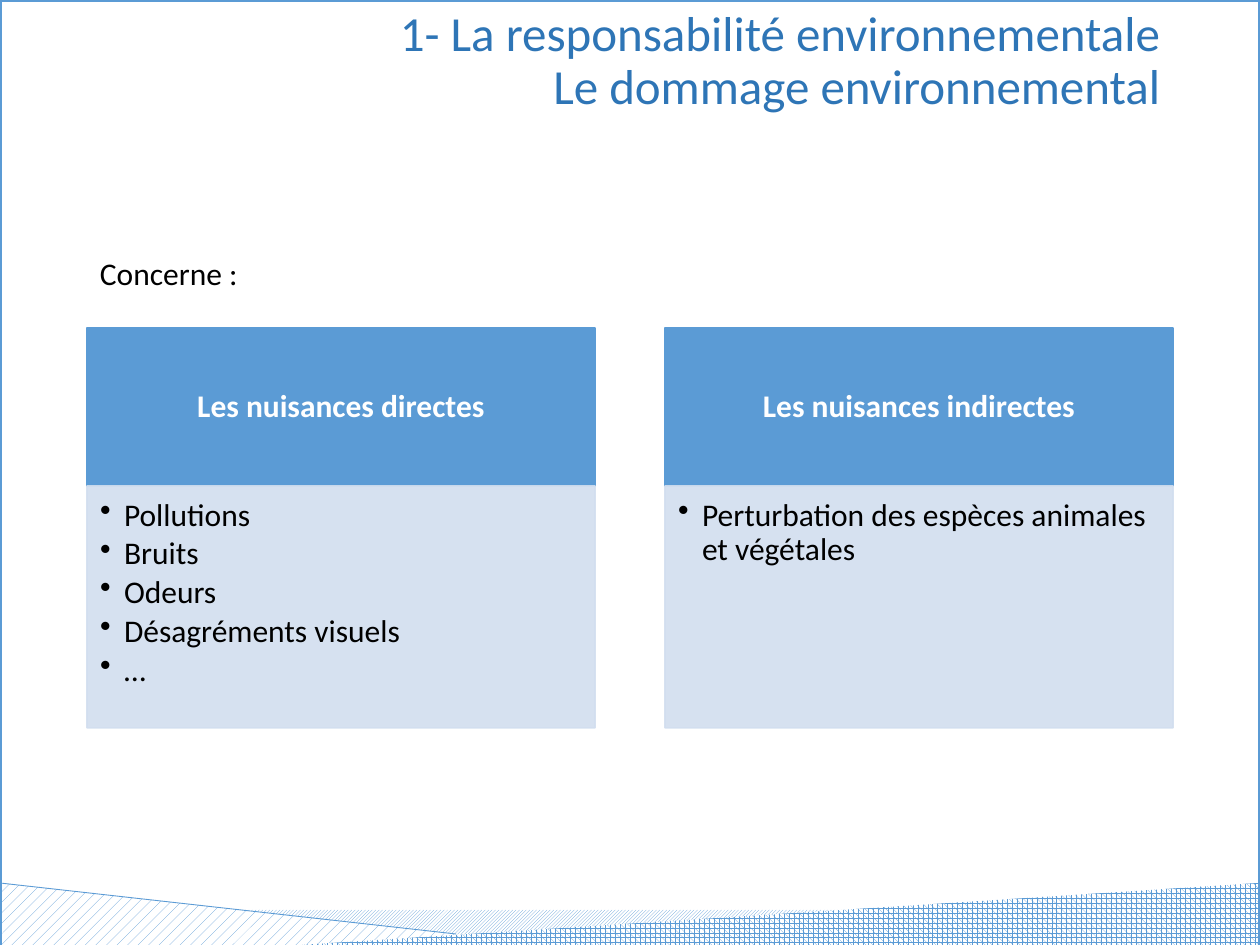
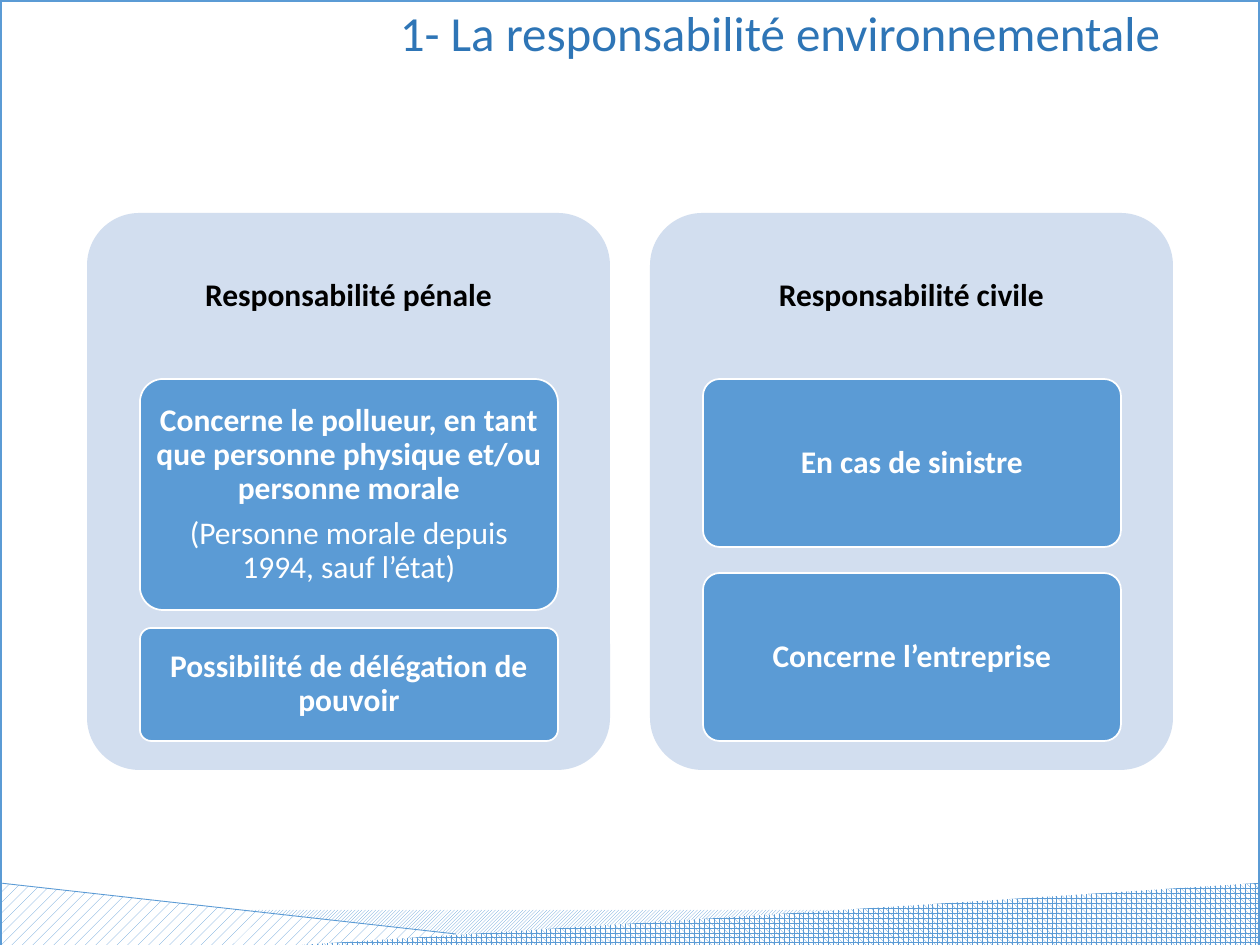
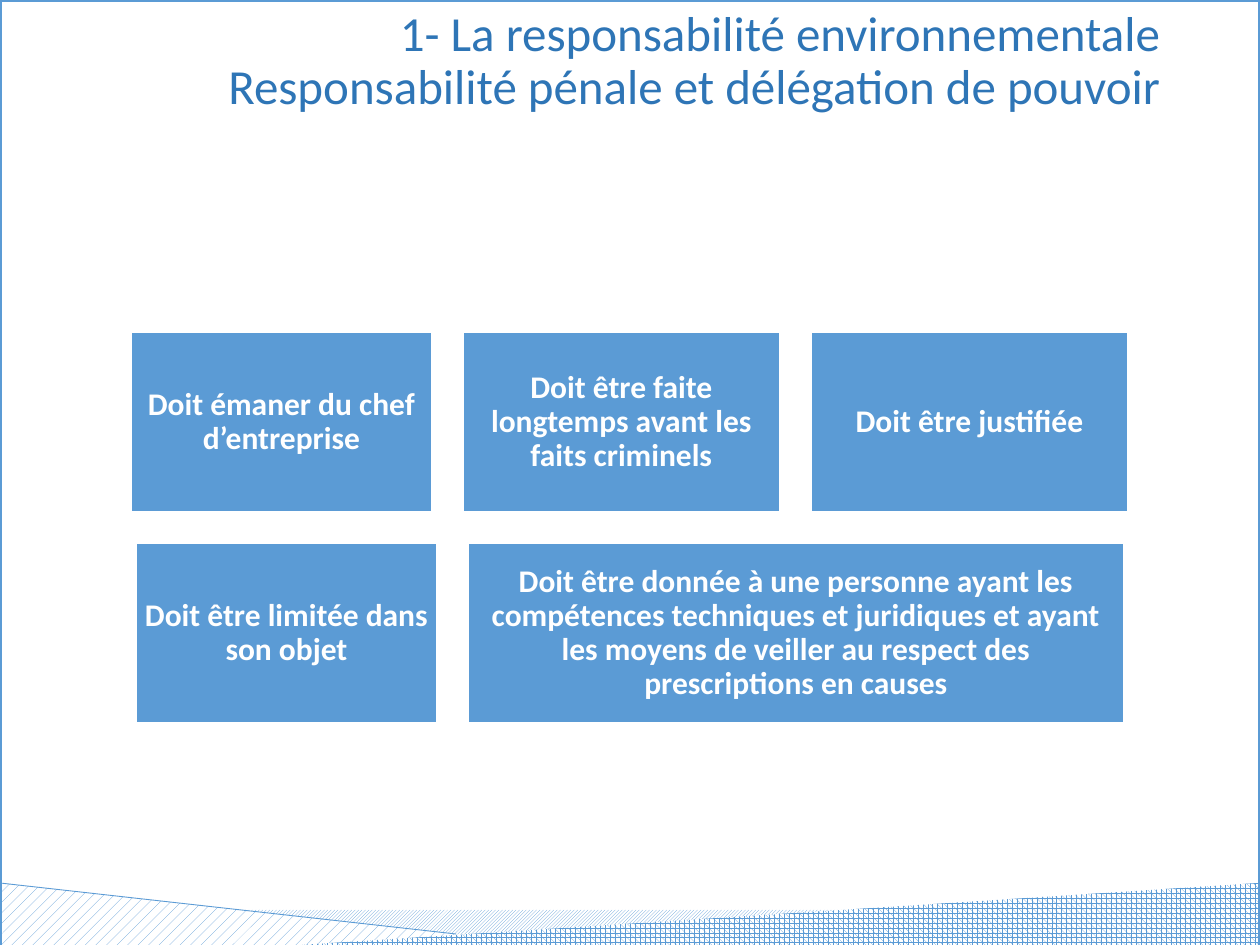
import pptx
import pptx.dml.color
import pptx.enum.dml
import pptx.enum.shapes
import pptx.enum.text
import pptx.oxml.ns
import pptx.util
from lxml import etree

SCALE = 914400 / 126
WIDE, HIGH = 1260, 945
LEFT = 87
BLUE, PALE, NAVY = "5B9BD5", "D2DEEF", "2E75B6"
WHITE, BLACK = "FFFFFF", "000000"
TOPIC = "1- La responsabilité environnementale"

ALIGN = pptx.enum.text.PP_ALIGN
ANCHOR = pptx.enum.text.MSO_ANCHOR
KIND = pptx.enum.shapes.MSO_SHAPE
PATTERN = pptx.enum.dml.MSO_PATTERN


def px(num):
    return pptx.util.Emu(round(num * SCALE))


def rgb(code):
    return pptx.dml.color.RGBColor.from_string(code)


def add_sub(node, tag, **attrs):
    return etree.SubElement(node, pptx.oxml.ns.qn(tag), **attrs)


def fade(shape, percent):
    """Make the fill and the line of a shape partly transparent."""
    for color in shape._element.spPr.iter(pptx.oxml.ns.qn("a:srgbClr")):
        add_sub(color, "a:alpha", val=str(percent * 1000))


def write(shape, lines, color, size=18, bold=False, align=ALIGN.CENTER,
          anchor=ANCHOR.MIDDLE, pad=(9, 9, 9, 9), after=6.3, bullet=False):
    """Fill a shape with paragraphs; pad is left, top, right, bottom."""
    frame = shape.text_frame
    frame.word_wrap = True
    frame.vertical_anchor = anchor
    (frame.margin_left, frame.margin_top,
     frame.margin_right, frame.margin_bottom) = map(px, pad)
    for i, line in enumerate(lines):
        para = frame.paragraphs[0] if i == 0 else frame.add_paragraph()
        para.text = line
        para.alignment = align
        para.line_spacing = 0.9
        para.space_after = pptx.util.Pt(after)
        if bullet:
            props = para._p.get_or_add_pPr()
            props.set("marL", str(px(24)))
            props.set("indent", str(px(-24)))
            add_sub(props, "a:buChar", char="•")
        font = para.font
        font.name = "Calibri"
        font.size = pptx.util.Pt(size)
        font.bold = bold
        font.color.rgb = rgb(color)
    return frame


def add_text(slide, box, lines, color, **style):
    shape = slide.shapes.add_textbox(*map(px, box))
    return write(shape, lines, color, **style)


def add_box(slide, box, fill=None, line=None, weight=1, kind=KIND.RECTANGLE):
    shape = slide.shapes.add_shape(kind, *map(px, box))
    shape.shadow.inherit = False
    if kind == KIND.ROUNDED_RECTANGLE:
        shape.adjustments[0] = 0.1
    if fill:
        shape.fill.solid()
        shape.fill.fore_color.rgb = rgb(fill)
    else:
        shape.fill.background()
    if line:
        shape.line.color.rgb = rgb(line)
        shape.line.width = pptx.util.Pt(weight)
    else:
        shape.line.fill.background()
    return shape


def hatch(shape, pattern):
    shape.fill.patterned()
    shape.fill.pattern = pattern
    shape.fill.fore_color.rgb = rgb(BLUE)
    shape.fill.back_color.rgb = rgb(WHITE)


def add_wedge(slide, points, pattern):
    pen = slide.shapes.build_freeform(*points[0], scale=SCALE)
    pen.add_line_segments(points[1:], close=True)
    shape = pen.convert_to_shape()
    shape.shadow.inherit = False
    shape.line.fill.background()
    hatch(shape, pattern)


def add_page(deck, title):
    """Add a slide with the shared footer, frame and title."""
    slide = deck.slides.add_slide(deck.slide_layouts[6])
    hatch(add_box(slide, (164, 910, 827, 40)), PATTERN.LIGHT_UPWARD_DIAGONAL)
    add_wedge(slide, [(0, 883), (551, 945), (539, 947), (0, 947)],
              PATTERN.PERCENT_20)
    add_wedge(slide, [(286, 946), (1259, 883), (1260, 947), (276, 947)],
              PATTERN.SPHERE)
    edge = slide.shapes.add_connector(
        pptx.enum.shapes.MSO_CONNECTOR.STRAIGHT,
        px(0), px(883), px(456), px(934))
    edge.line.color.rgb = rgb(BLUE)
    edge.line.width = pptx.util.Pt(0.5)
    add_sub(edge._element.spPr, "a:effectLst")
    add_box(slide, (0, 0, WIDE, 947), line=BLUE, weight=2.25)
    add_text(slide, (LEFT, 3, 1086, 146), [title], NAVY, size=28,
             align=ALIGN.RIGHT, anchor=ANCHOR.TOP, pad=(13, 6, 13, 6), after=0)
    return slide


def add_list(slide, left, head, items):
    top = add_box(slide, (left, 328, 508, 158), BLUE, BLUE)
    write(top, [head], WHITE, bold=True, pad=(18, 10, 18, 10))
    body = add_box(slide, (left, 486, 508, 242), PALE, PALE)
    fade(body, 90)
    write(body, items, BLACK, align=ALIGN.LEFT, anchor=ANCHOR.TOP,
          pad=(13, 13, 18, 20), after=2.7, bullet=True)


def add_panel(slide, left, head, cards):
    """Stack cards of given heights, with equal gaps, under a heading."""
    add_box(slide, (left, 213, 523, 557), PALE, kind=KIND.ROUNDED_RECTANGLE)
    add_text(slide, (left, 213, 523, 166), [head], BLACK, bold=True)
    top, bottom = 379, 741
    free = bottom - top - sum(high for high, _ in cards)
    gap = free // (len(cards) - 1)
    for high, lines in cards:
        card = add_box(slide, (left + 53, top, 418, high), BLUE, WHITE,
                       kind=KIND.ROUNDED_RECTANGLE)
        frame = write(card, lines, WHITE, bold=True, pad=(6, 5, 6, 5))
        for note in frame.paragraphs[1:]:
            note.font.bold = False
        top += high + gap


def add_row(slide, top, tiles, gap=31):
    """Centre a row of tiles of given widths on the slide."""
    total = sum(wide for wide, _ in tiles) + gap * (len(tiles) - 1)
    left = (WIDE - total) // 2
    for wide, text in tiles:
        tile = add_box(slide, (left, top, wide, 180), BLUE, WHITE)
        write(tile, [text], WHITE, bold=True)
        left += wide + gap


def add_harm(deck):
    slide = add_page(deck, TOPIC + "\vLe dommage environnemental")
    add_text(slide, (LEFT, 252, 1086, 60), ["Concerne :"], BLACK,
             align=ALIGN.LEFT, anchor=ANCHOR.TOP, pad=(13, 6, 13, 6))
    lists = [
        ("Les nuisances directes",
         ["Pollutions", "Bruits", "Odeurs", "Désagréments visuels", "…"]),
        ("Les nuisances indirectes",
         ["Perturbation des espèces animales et végétales"]),
    ]
    for i, (head, items) in enumerate(lists):
        add_list(slide, LEFT + 578 * i, head, items)


def add_duty(deck):
    slide = add_page(deck, TOPIC)
    panels = [
        ("Responsabilité pénale", [
            (231, ["Concerne le pollueur, en tant que personne physique "
                   "et/ou personne morale",
                   "(Personne morale depuis 1994, sauf l’état)"]),
            (113, ["Possibilité de délégation de pouvoir"]),
        ]),
        ("Responsabilité civile", [
            (168, ["En cas de sinistre"]),
            (168, ["Concerne l’entreprise"]),
        ]),
    ]
    for i, (head, cards) in enumerate(panels):
        add_panel(slide, LEFT + 563 * i, head, cards)


def add_power(deck):
    slide = add_page(
        deck, TOPIC + "\vResponsabilité pénale et délégation de pouvoir")
    add_row(slide, 332, [
        (301, "Doit émaner du chef d’entreprise"),
        (317, "Doit être faite longtemps avant les faits criminels"),
        (317, "Doit être justifiée"),
    ])
    add_row(slide, 543, [
        (301, "Doit être limitée dans son objet"),
        (656, "Doit être donnée à une personne ayant les compétences "
              "techniques et juridiques et ayant les moyens de veiller au "
              "respect des prescriptions en causes"),
    ])


def main():
    deck = pptx.Presentation()
    deck.slide_width, deck.slide_height = px(WIDE), px(HIGH)
    add_harm(deck)
    add_duty(deck)
    add_power(deck)
    deck.save("out.pptx")


if __name__ == "__main__":
    main()
